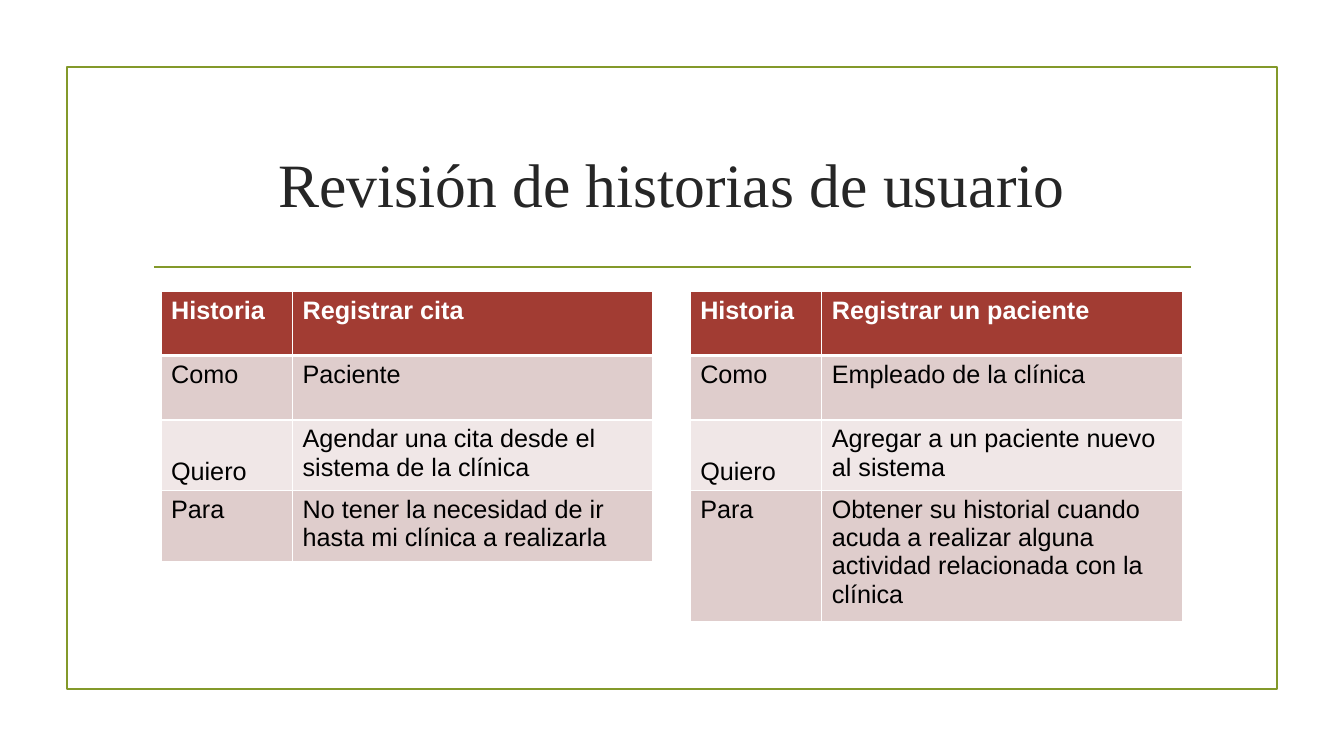
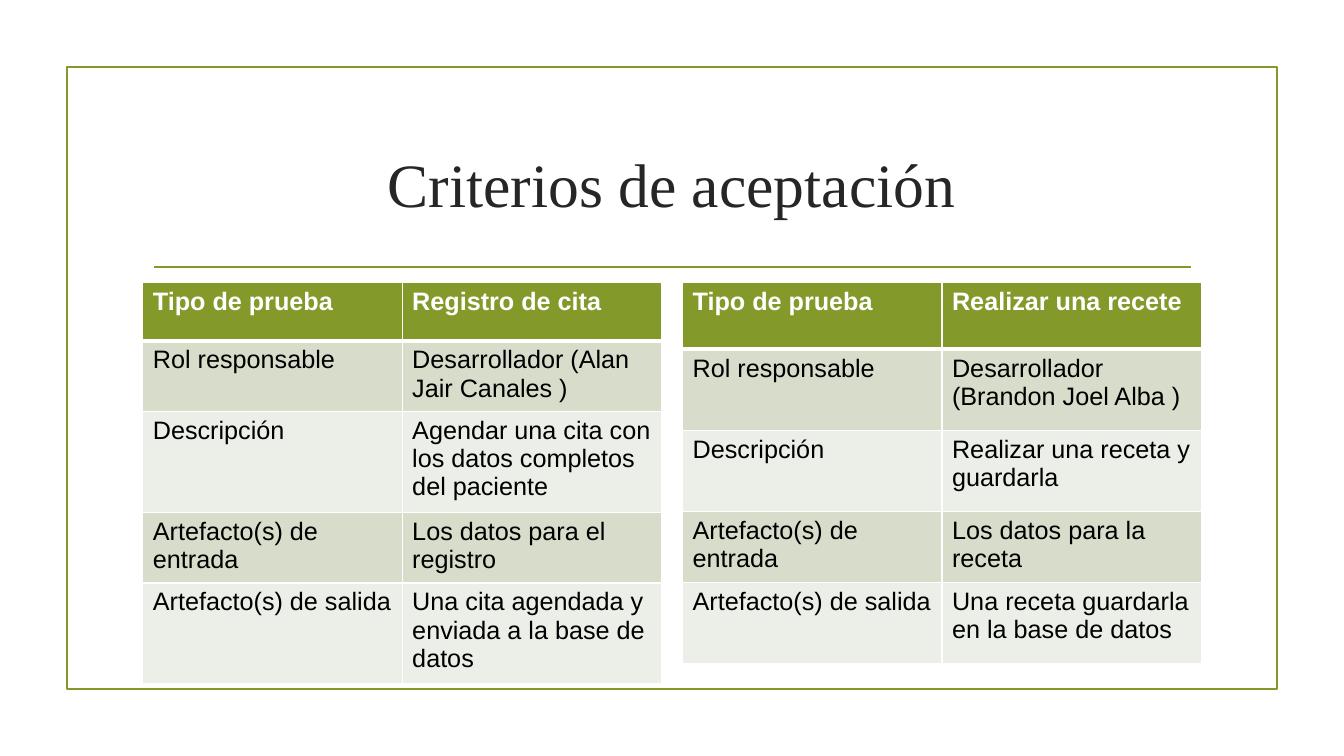
from dataclasses import dataclass

from lxml.etree import SubElement
from pptx import Presentation
from pptx.dml.color import RGBColor as Rgb
from pptx.enum.shapes import MSO_CONNECTOR as Connector, MSO_SHAPE as Preset
from pptx.enum.text import MSO_ANCHOR as Anchor, PP_ALIGN as Align
from pptx.oxml.ns import qn
from pptx.slide import Slide
from pptx.table import _Cell as Cell
from pptx.text.text import TextFrame
from pptx.util import Pt


@dataclass(frozen=True)
class Palette:
    header: str
    odd_row: str
    even_row: str


@dataclass(frozen=True)
class Theme:
    accent: str = "83992A"
    title: str = "262626"
    body: str = "000000"
    white: str = "FFFFFF"
    title_font: str = "Times New Roman"
    body_font: str = "Arial"
    title_size: float = 44
    body_size: float = 18
    line_width: float = 1.25
    grid_width: float = 1
    header_rule_width: float = 3
    red: Palette = Palette("A23C33", "DFCDCC", "F0E7E7")
    green: Palette = Palette("83992A", "D8DDCB", "ECEFE7")


THEME = Theme()


@dataclass(frozen=True)
class Grid:
    """Place and look shared by the two tables of a slide."""
    left: float
    top: float
    columns: tuple[float, ...]
    gap: float
    palette: Palette
    bottom_rows: tuple[int, ...] = ()


@dataclass(frozen=True)
class TableData:
    row_heights: tuple[float, ...]
    values: tuple[str, ...]


@dataclass(frozen=True)
class SlideData:
    title: str
    labels: tuple[str, ...]
    grid: Grid
    tables: tuple[TableData, ...]


SLIDES = (
    SlideData(
        "Revisión de historias de usuario",
        ("Historia", "Como", "Quiero", "Para"),
        Grid(115, 208, (94, 257.5), 26.5, THEME.red, bottom_rows=(2,)),
        (
            TableData((46, 46, 47.5, 47.5), (
                "Registrar cita",
                "Paciente",
                "Agendar una cita desde el sistema de la clínica",
                "No tener la necesidad de ir hasta mi clínica a realizarla",
            )),
            TableData((46, 46, 47.5, 88), (
                "Registrar un paciente",
                "Empleado de la clínica",
                "Agregar a un paciente nuevo al sistema",
                "Obtener su historial cuando acuda a realizar alguna "
                "actividad relacionada con la clínica",
            )),
        ),
    ),
    SlideData(
        "Criterios de aceptación",
        ("Tipo de prueba", "Rol responsable", "Descripción",
         "Artefacto(s) de entrada", "Artefacto(s) de salida"),
        Grid(102, 202, (185.3, 185.3), 15, THEME.green),
        (
            TableData((41.5, 47.5, 68, 47.5, 68), (
                "Registro de cita",
                "Desarrollador (Alan Jair Canales )",
                "Agendar una cita con los datos completos del paciente",
                "Los datos para el registro",
                "Una cita agendada y enviada a la base de datos",
            )),
            TableData((47.5, 58, 58, 47.5, 58), (
                "Realizar una recete",
                "Desarrollador (Brandon Joel Alba )",
                "Realizar una receta y guardarla",
                "Los datos para la receta",
                "Una receta guardarla en la base de datos",
            )),
        ),
    ),
)


def write(frame: TextFrame, text: str, *, font: str, size: float, color: str,
          bold: bool = False, align: Align = Align.LEFT) -> None:
    frame.word_wrap = True
    paragraph = frame.paragraphs[0]
    paragraph.alignment = align
    run = paragraph.add_run()
    run.text = text
    run.font.name = font
    run.font.size = Pt(size)
    run.font.bold = bold
    run.font.color.rgb = Rgb.from_string(color)


def set_border(cell: Cell, side: str, width: float) -> None:
    """Add a white border; side is L, R, T or B, called in that order."""
    line = SubElement(cell._tc.get_or_add_tcPr(), qn(f"a:ln{side}"), w=str(Pt(width)))
    fill = SubElement(line, qn("a:solidFill"))
    SubElement(fill, qn("a:srgbClr"), val=THEME.white)


def format_cell(cell: Cell, text: str, row: int, palette: Palette) -> None:
    is_header = row == 0
    write(cell.text_frame, text, font=THEME.body_font, size=THEME.body_size,
          color=THEME.white if is_header else THEME.body, bold=is_header)
    rule_side = {0: "B", 1: "T"}.get(row)
    for side in "LRTB":
        set_border(cell, side,
                   THEME.header_rule_width if side == rule_side else THEME.grid_width)
    color = palette.header if is_header else (
        palette.odd_row if row % 2 else palette.even_row)
    cell.fill.solid()
    cell.fill.fore_color.rgb = Rgb.from_string(color)


def draw_table(slide: Slide, labels: tuple[str, ...], data: TableData,
               grid: Grid, left: float) -> None:
    table = slide.shapes.add_table(
        len(labels), len(grid.columns), Pt(left), Pt(grid.top),
        Pt(sum(grid.columns)), Pt(sum(data.row_heights))).table
    table.horz_banding = False
    for column, width in zip(table.columns, grid.columns):
        column.width = Pt(width)
    for index, (height, texts) in enumerate(
            zip(data.row_heights, zip(labels, data.values))):
        row = table.rows[index]
        row.height = Pt(height)
        for cell, text in zip(row.cells, texts):
            format_cell(cell, text, index, grid.palette)
        if index in grid.bottom_rows:
            row.cells[0].vertical_anchor = Anchor.BOTTOM


def draw_base(slide: Slide, title: str) -> None:
    """Draw the frame, the rule and the title that every slide has."""
    accent = Rgb.from_string(THEME.accent)
    border = slide.shapes.add_shape(Preset.RECTANGLE, Pt(48), Pt(48), Pt(864), Pt(444))
    border.shadow.inherit = False
    border.fill.background()
    rule = slide.shapes.add_connector(
        Connector.STRAIGHT, Pt(110), Pt(190.8), Pt(850.5), Pt(190.8))
    SubElement(rule._element.spPr, qn("a:effectLst"))
    for shape in (border, rule):
        shape.line.color.rgb = accent
        shape.line.width = Pt(THEME.line_width)
    box = slide.shapes.add_textbox(Pt(102), Pt(77), Pt(756), Pt(108))
    box.text_frame.vertical_anchor = Anchor.MIDDLE
    write(box.text_frame, title, font=THEME.title_font, size=THEME.title_size,
          color=THEME.title, align=Align.CENTER)


def main() -> None:
    presentation = Presentation()
    presentation.slide_width, presentation.slide_height = Pt(960), Pt(540)
    blank_layout = presentation.slide_layouts[6]
    for data in SLIDES:
        slide = presentation.slides.add_slide(blank_layout)
        draw_base(slide, data.title)
        step = sum(data.grid.columns) + data.grid.gap
        for index, table in enumerate(data.tables):
            draw_table(slide, data.labels, table, data.grid,
                       data.grid.left + index * step)
    presentation.save("out.pptx")


if __name__ == "__main__":
    main()
